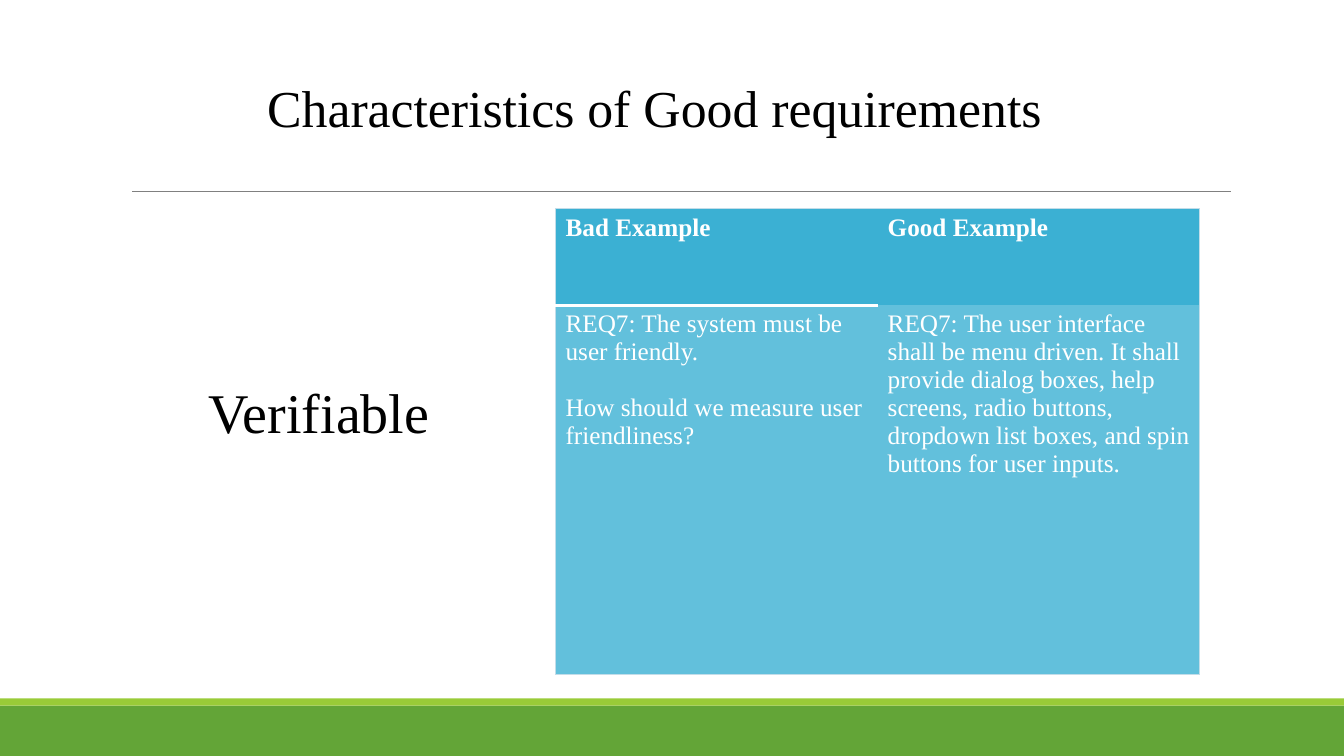
from lxml import etree
from pptx import Presentation, util as u
from pptx.dml.color import RGBColor
from pptx.enum import shapes, text
from pptx.oxml import ns

FONT = "Times New Roman"
NO_STYLE = "{2D5ABB26-0587-4C30-8999-92F81FD0307C}"
EDGE, WHITE, BLACK = "C2DDE9", "FFFFFF", "000000"
HEADER_FILL, BODY_FILL = "3BB0D3", "62C0DC"


def rgb(value):
    """Return the colour for a hex string."""
    return RGBColor.from_string(value)


def box(*lengths):
    """Return lengths in inches as a list of EMU values."""
    return [u.Inches(n) for n in lengths]


def add_run(p, words, size, color, bold=False):
    """Append one formatted run to a paragraph."""
    r = p.add_run()
    r.text = words
    r.font.name, r.font.size, r.font.bold = FONT, u.Pt(size), bold
    r.font.color.rgb = rgb(color)


def add_title(s, words, bounds):
    """Place and fill the title placeholder."""
    sp = s.shapes.title
    sp.left, sp.top, sp.width, sp.height = box(*bounds)
    tf = sp.text_frame
    tf.word_wrap, tf.vertical_anchor = True, text.MSO_ANCHOR.MIDDLE
    p = tf.paragraphs[0]
    p.alignment = text.PP_ALIGN.LEFT
    add_run(p, words, 37, BLACK)


def add_label(s, words, bounds):
    """Add a large centred text box."""
    tf = s.shapes.add_textbox(*box(*bounds)).text_frame
    tf.word_wrap, tf.vertical_anchor = True, text.MSO_ANCHOR.MIDDLE
    p = tf.paragraphs[0]
    p.alignment = text.PP_ALIGN.CENTER
    p.space_before, p.space_after = u.Pt(10), u.Pt(6)
    add_run(p, words, 40, BLACK)


def add_bar(s, bounds, color):
    """Add a plain filled rectangle."""
    sp = s.shapes.add_shape(shapes.MSO_SHAPE.RECTANGLE, *box(*bounds))
    sp.shadow.inherit = False
    sp.fill.solid()
    sp.fill.fore_color.rgb = rgb(color)
    sp.line.fill.background()


def add_rule(s, ends, color, width):
    """Add a straight line without a shadow."""
    line = s.shapes.add_connector(shapes.MSO_CONNECTOR.STRAIGHT, *box(*ends))
    line.line.color.rgb, line.line.width = rgb(color), u.Pt(width)
    etree.SubElement(line._element.spPr, ns.qn("a:effectLst"))


def set_borders(cell, borders):
    """Draw the given cell sides, in the order left, right, top, bottom."""
    tcPr = cell._tc.get_or_add_tcPr()
    for side in "LRTB":
        if side in borders:
            color, width = borders[side]
            ln = etree.SubElement(tcPr, ns.qn("a:ln" + side), w=str(u.Pt(width)))
            fill = etree.SubElement(ln, ns.qn("a:solidFill"))
            etree.SubElement(fill, ns.qn("a:srgbClr"), val=color)


def fill_cell(cell, paragraphs, color, borders, bold):
    """Set borders, fill and text of one table cell."""
    set_borders(cell, borders)
    cell.fill.solid()
    cell.fill.fore_color.rgb = rgb(color)
    tf = cell.text_frame
    for i, words in enumerate(paragraphs):
        p = tf.add_paragraph() if i else tf.paragraphs[0]
        p.space_before = u.Pt(20 if i else 0)
        add_run(p, words, 18, WHITE, bold)


def add_examples(s, rows, bounds, heights):
    """Add the example table with a header row and outer edges."""
    last_row, last_col = len(rows) - 1, len(rows[0]) - 1
    table = s.shapes.add_table(len(rows), len(rows[0]), *box(*bounds)).table
    table._tbl.tblPr[0].text = NO_STYLE
    for i, row in enumerate(rows):
        table.rows[i].height = u.Inches(heights[i])
        for j, paragraphs in enumerate(row):
            sides = {"L": j == 0, "R": j == last_col, "T": i == 0, "B": i == last_row}
            borders = {side: (EDGE, 1) for side, outer in sides.items() if outer}
            if i == 0 and j == 0:
                borders["B"] = (WHITE, 2)
            fill = BODY_FILL if i else HEADER_FILL
            fill_cell(table.cell(i, j), paragraphs, fill, borders, i == 0)


def main():
    """Build and save the slide."""
    prs = Presentation()
    prs.slide_width, prs.slide_height = box(13.33, 7.5)
    s = prs.slides.add_slide(prs.slide_layouts[5])
    add_bar(s, (0, 7, 13.33, 0.5), "63A537")
    add_bar(s, (0, 6.93, 13.33, 0.07), "99CB38")
    add_rule(s, (1.31, 1.9, 12.21, 1.9), "808080", 0.5)
    add_label(s, "Verifiable", (1, 3.58, 4.33, 1))
    rows = [
        [["Bad Example"], ["Good Example"]],
        [["REQ7: The system must be user friendly.",
          "How should we measure user friendliness?"],
         ["REQ7: The user interface shall be menu driven. It shall provide "
          "dialog boxes, help screens, radio buttons, dropdown list boxes, "
          "and spin buttons for user inputs."]],
    ]
    add_examples(s, rows, (5.51, 2.07, 6.39, 4.62), (0.96, 3.66))
    add_title(s, "Characteristics of Good requirements", (2.55, 0.56, 7.96, 1))
    prs.save("out.pptx")


main()
